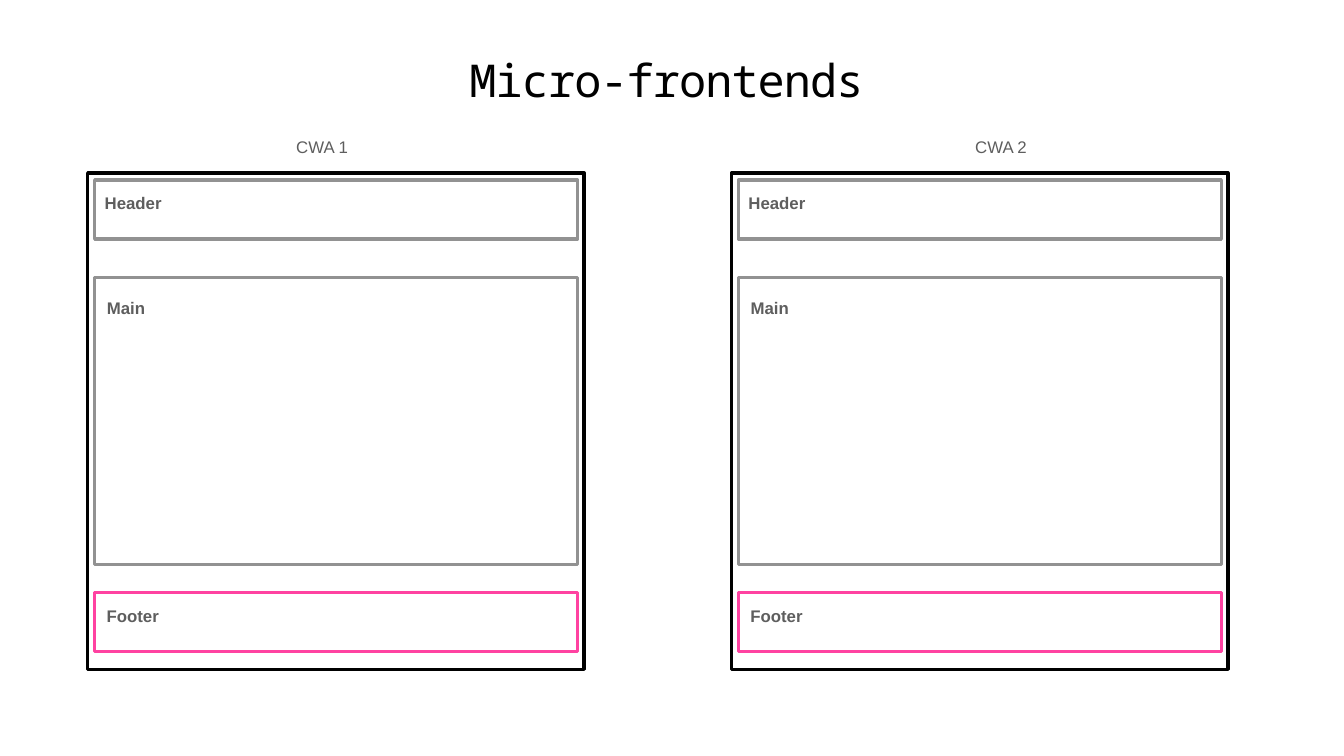
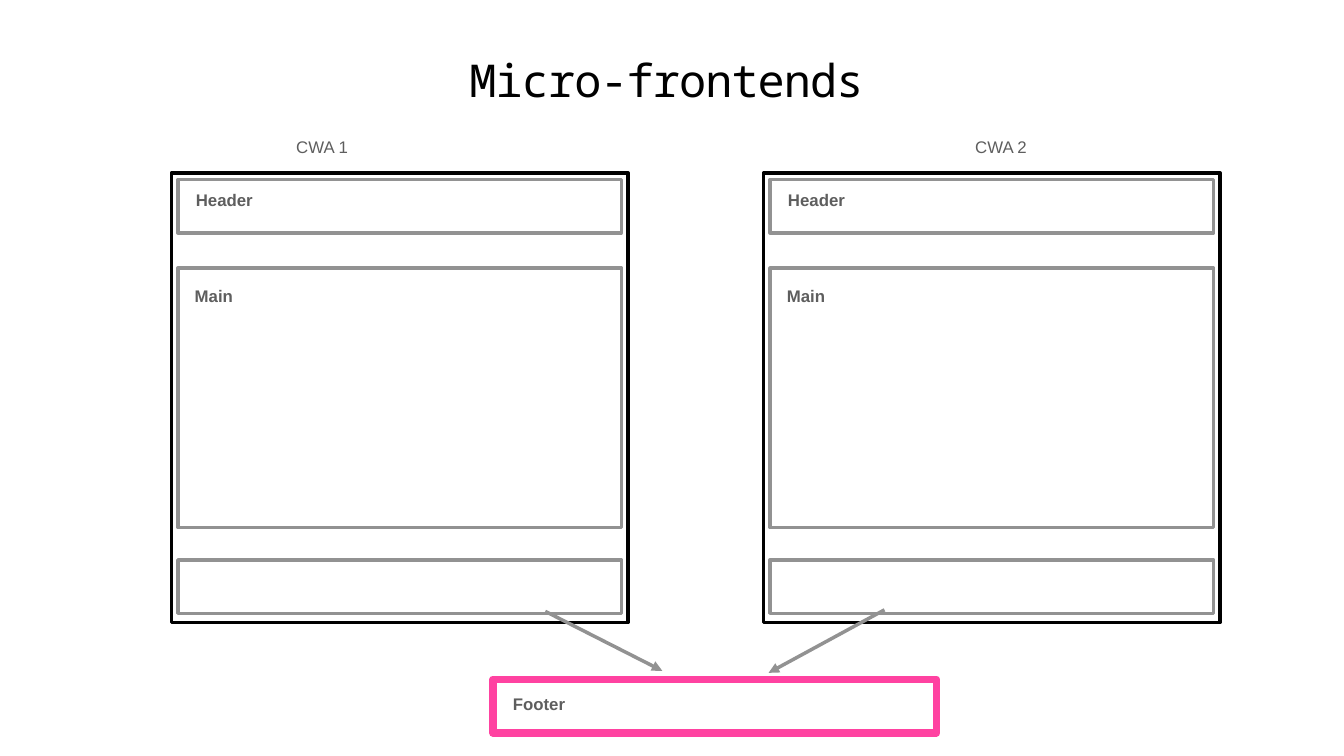
"""Builds two slides on micro-frontends: a footer per app, then one shared footer."""
from lxml.etree import SubElement
from pptx import Presentation
from pptx.dml.color import RGBColor
from pptx.enum.shapes import MSO_CONNECTOR, MSO_SHAPE
from pptx.enum.text import MSO_ANCHOR, MSO_AUTO_SIZE, PP_ALIGN
from pptx.oxml.ns import qn
from pptx.util import Pt

COLORS = {"title": "000000", "frame": "000000", "region": "929292",
          "footer": "FF42A1", "label": "5E5E5E"}
INSET = Pt(4)


def add_box(slide, left, top, width, height, color, weight=5):
    """Add an unfilled rectangle with a coloured outline."""
    box = slide.shapes.add_shape(MSO_SHAPE.RECTANGLE, Pt(left), Pt(top), Pt(width), Pt(height))
    box.shadow.inherit = False
    box.fill.background()
    box.line.color.rgb = RGBColor.from_string(COLORS[color])
    box.line.width = Pt(weight)


def add_label(slide, text, left, top, width, height=36, bold=True):
    """Add a centred one-line label."""
    label = slide.shapes.add_textbox(Pt(left), Pt(top), Pt(width), Pt(height))
    frame = label.text_frame
    frame.word_wrap = False
    frame.vertical_anchor = MSO_ANCHOR.MIDDLE
    frame.margin_left = frame.margin_right = frame.margin_top = frame.margin_bottom = INSET
    paragraph = frame.paragraphs[0]
    paragraph.text = text
    paragraph.alignment = PP_ALIGN.CENTER
    paragraph.font.name = "Arial"
    paragraph.font.size = Pt(24)
    paragraph.font.bold = bold
    paragraph.font.color.rgb = RGBColor.from_string(COLORS["label"])


prs = Presentation()
prs.slide_width, prs.slide_height = Pt(1920), Pt(1080)

separate, shared = [prs.slides.add_slide(prs.slide_layouts[5]) for _ in range(2)]
for slide in (separate, shared):
    title = slide.shapes.title
    title.left, title.top, title.width, title.height = Pt(666.7), Pt(85), Pt(586), Pt(113)
    heading = title.text_frame
    heading.auto_size = MSO_AUTO_SIZE.NONE
    heading.vertical_anchor = MSO_ANCHOR.TOP
    heading.margin_left = heading.margin_right = heading.margin_top = heading.margin_bottom = INSET
    paragraph = heading.paragraphs[0]
    paragraph.alignment = PP_ALIGN.LEFT
    paragraph.line_spacing = 0.8
    paragraph.font.name = "Noto Sans Mono"
    paragraph.font.size = Pt(64.6)
    paragraph.font.color.rgb = RGBColor.from_string(COLORS["title"])
    run = paragraph.add_run()
    run.text = "Micro-frontends"
    run.font._element.set("spc", "-130")
    for app, left in (("CWA 1", 418.3), ("CWA 2", 1388.2)):
        add_label(slide, app, left, 191.5, 83.5, bold=False)

for left in (125.3, 1044.9):
    add_box(separate, left, 247, 709.2, 709.2, "frame")
    for top, height, color in ((257, 84.2, "region"), (396.7, 409.7, "region"),
                               (846.7, 84.2, "footer")):
        add_box(separate, left + 10, top, 689.8, height, color)
    for text, indent, top, width in (("Header", 18.8, 272.2, 92.2), ("Main", 22.3, 421.9, 64.8),
                                     ("Footer", 22.3, 861.8, 84.2)):
        add_label(separate, text, left + indent, top, width)

for left in (244.8, 1090.8):
    add_box(shared, left, 247, 652.3, 642.2, "frame")
    for top, height in ((256.3, 76.3), (383, 370.8), (799.9, 76.3)):
        add_box(shared, left + 9.4, top, 633.6, height, "region")
    for text, indent, top, width in (("Header", 17.3, 269.3, 116.6), ("Main", 20.9, 405.4, 79.5)):
        add_label(shared, text, left + indent, top, width, 33)

add_box(shared, 704.2, 970.6, 633.6, 76.3, "footer", 11)
for start_x, start_y, end_x, end_y in ((779, 873.4, 946.1, 958.3), (1263.6, 871.2, 1098, 961.2)):
    arrow = shared.shapes.add_connector(MSO_CONNECTOR.STRAIGHT, Pt(start_x), Pt(start_y),
                                        Pt(end_x), Pt(end_y))
    arrow.line.color.rgb = RGBColor.from_string(COLORS["region"])
    arrow.line.width = Pt(5)
    SubElement(arrow.line._get_or_add_ln(), qn("a:tailEnd"), type="triangle")
    SubElement(arrow._element.spPr, qn("a:effectLst"))
add_label(shared, "Footer", 727.9, 987.8, 84.2)

prs.save("out.pptx")
